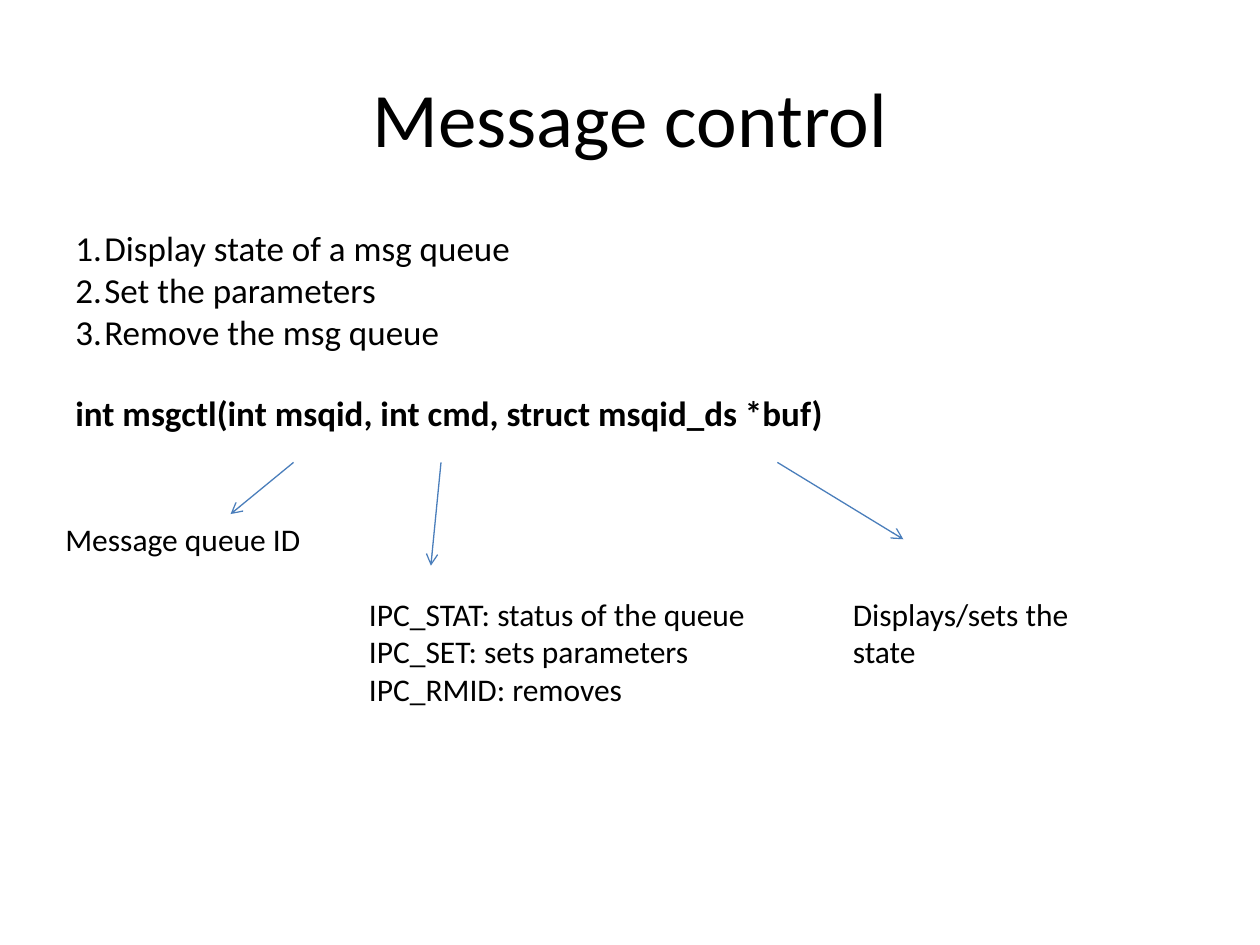
from dataclasses import dataclass

import lxml.etree
import pptx
import pptx.dml.color
import pptx.enum.shapes
import pptx.enum.text
import pptx.oxml.ns
import pptx.slide
import pptx.text.text
import pptx.util
from pptx.util import Inches

FONT = "Calibri"
COLORS = {"text": "000000", "arrow": "4A7EBB"}
ARROW_TOP = 3.67
NUMBER_INDENT = 0.23


@dataclass
class Note:
    lines: list[str]
    left: float
    top: float
    width: float
    height: float
    arrow_start: float
    arrow_end: tuple[float, float]


STEPS = ["Display state of a msg queue", "Set the parameters", "Remove the msg queue"]
SIGNATURE = "int msgctl(int msqid, int cmd, struct msqid_ds *buf)"
NOTES = [
    Note(["Message queue ID"], 0.42, 4.08, 2.42, 0.7, 2.33, (1.83, 4.08)),
    Note(
        ["IPC_STAT: status of the queue", "IPC_SET: sets parameters", "IPC_RMID: removes"],
        2.83, 4.67, 3.33, 1.6, 3.5, (3.42, 4.49),
    ),
    Note(["Displays/sets the state"], 6.67, 4.67, 2.08, 0.7, 6.17, (7.17, 4.28)),
]


def color(name: str) -> pptx.dml.color.RGBColor:
    return pptx.dml.color.RGBColor.from_string(COLORS[name])


def format_text(text_frame: pptx.text.text.TextFrame, size: float) -> None:
    for paragraph in text_frame.paragraphs:
        for run in paragraph.runs:
            run.font.name = FONT
            run.font.size = pptx.util.Pt(size)
            run.font.color.rgb = color("text")


def add_text(
    slide: pptx.slide.Slide, lines: list[str], size: float,
    left: float, top: float, width: float, height: float,
) -> pptx.text.text.TextFrame:
    shape = slide.shapes.add_textbox(Inches(left), Inches(top), Inches(width), Inches(height))
    text_frame = shape.text_frame
    text_frame.word_wrap = True
    text_frame.text = "\n".join(lines)
    format_text(text_frame, size)
    return text_frame


def number_paragraph(paragraph: pptx.text.text._Paragraph) -> None:
    properties = paragraph._p.get_or_add_pPr()
    properties.set("marL", str(Inches(NUMBER_INDENT)))
    properties.set("indent", str(-Inches(NUMBER_INDENT)))
    lxml.etree.SubElement(
        properties, pptx.oxml.ns.qn("a:buAutoNum"), type="arabicPeriod"
    )


def add_title(slide: pptx.slide.Slide) -> None:
    title = slide.shapes.title
    title.left, title.top = Inches(0.5), Inches(0.3)
    title.width, title.height = Inches(9), Inches(1.25)
    title.text_frame.text = "Message control"
    title.text_frame.vertical_anchor = pptx.enum.text.MSO_ANCHOR.MIDDLE
    title.text_frame.paragraphs[0].alignment = pptx.enum.text.PP_ALIGN.CENTER
    format_text(title.text_frame, 44)


def add_body(slide: pptx.slide.Slide) -> None:
    text_frame = add_text(slide, [*STEPS, SIGNATURE], 20, 0.5, 1.75, 9, 4.95)
    *steps, signature = text_frame.paragraphs
    for paragraph in steps:
        number_paragraph(paragraph)
    signature.space_before = pptx.util.Pt(22)
    signature.runs[0].font.bold = True


def add_arrow(slide: pptx.slide.Slide, start: float, end: tuple[float, float]) -> None:
    connector = slide.shapes.add_connector(
        pptx.enum.shapes.MSO_CONNECTOR.STRAIGHT,
        Inches(start), Inches(ARROW_TOP), Inches(end[0]), Inches(end[1]),
    )
    connector.line.color.rgb = color("arrow")
    connector.line.width = pptx.util.Pt(0.75)
    line = connector.line._get_or_add_ln()
    lxml.etree.SubElement(line, pptx.oxml.ns.qn("a:tailEnd"), type="arrow")
    lxml.etree.SubElement(connector._element.spPr, pptx.oxml.ns.qn("a:effectLst"))


def add_note(slide: pptx.slide.Slide, note: Note) -> None:
    add_arrow(slide, note.arrow_start, note.arrow_end)
    add_text(slide, note.lines, 18, note.left, note.top, note.width, note.height)


def main() -> None:
    presentation = pptx.Presentation()
    presentation.slide_width = Inches(10)
    presentation.slide_height = Inches(7.5)
    slide = presentation.slides.add_slide(presentation.slide_layouts[5])
    add_title(slide)
    add_body(slide)
    for note in NOTES:
        add_note(slide, note)
    presentation.save("out.pptx")


if __name__ == "__main__":
    main()
